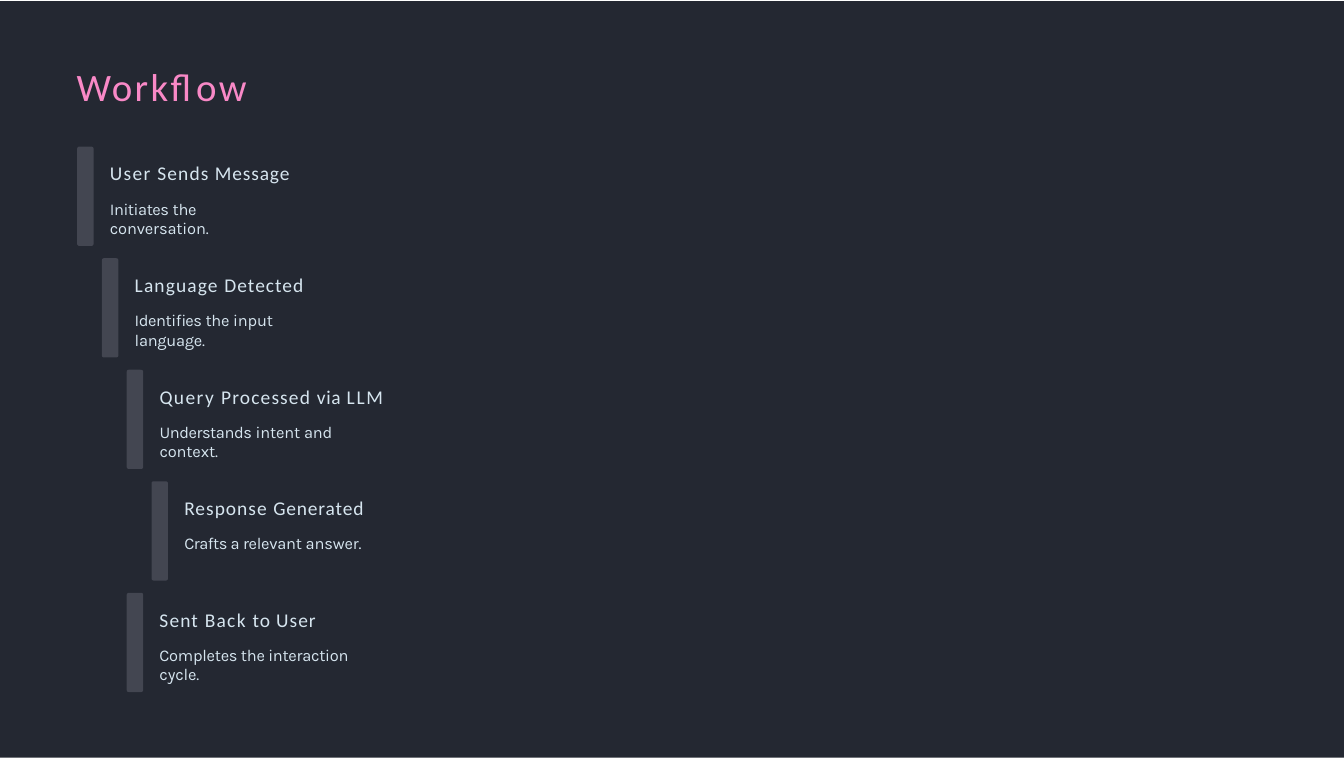
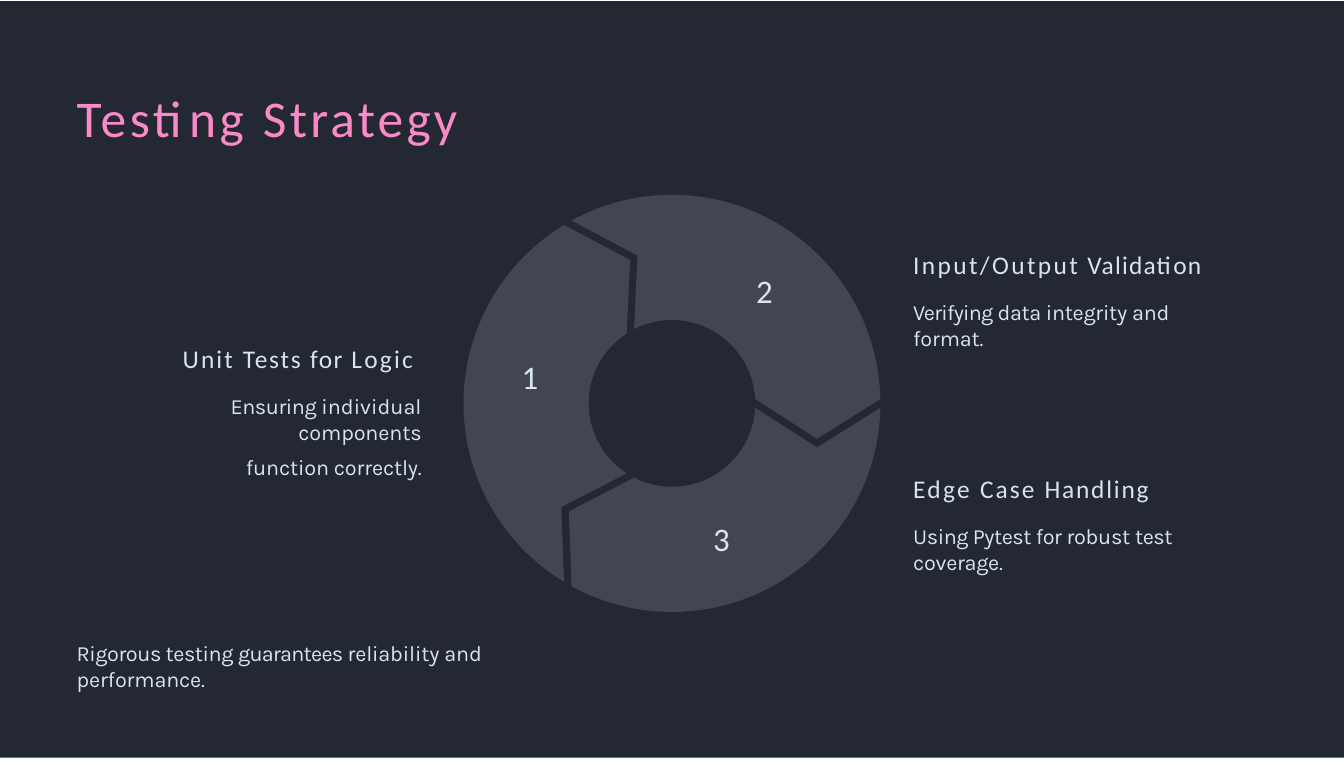
"""Build the workflow and testing strategy slides."""
from math import cos, radians, sin

from pptx import Presentation
from pptx.dml.color import RGBColor
from pptx.enum.shapes import MSO_SHAPE as SHAPE
from pptx.enum.text import MSO_ANCHOR as ANCHOR, MSO_AUTO_SIZE as AUTO, PP_ALIGN as ALIGN
from pptx.util import Pt

COLORS = {"panel": "242832", "accent": "434651", "title": "F989C7", "text": "D6E5EF"}
STYLES = {
    "workflow title": ("Calibri", 26, "title", 0.9),
    "testing title": ("Calibri", 34.5, "title", 1.1),
    "step": ("Calibri", 13, "text", 1),
    "step detail": ("Karla", 11, "text", 9.2),
    "topic": ("Calibri", 17, "text", 1.3),
    "topic detail": ("Karla", 14.5, "text", 12.8),
    "topic continued": ("Karla", 14.5, "text", 5.8),
    "summary": ("Karla", 14.5, "text", 1.2),
    "number": ("Calibri", 22, "text", 1),
}


def place_text(sp, left, top, width, height):
    """Position a text shape and return its prepared frame."""
    sp.left, sp.top, sp.width, sp.height = Pt(left), Pt(top), Pt(width), Pt(height)
    tf = sp.text_frame
    tf.word_wrap = True
    tf.auto_size = AUTO.SHAPE_TO_FIT_TEXT
    tf.vertical_anchor = ANCHOR.TOP
    tf.margin_left = tf.margin_top = Pt(0.9)
    tf.margin_right = tf.margin_bottom = 0
    return tf


def add_runs(tf, style, runs, align=ALIGN.LEFT, indent=0):
    """Add a paragraph made of (text, letter spacing) runs."""
    font, size, color, before = STYLES[style]
    p = tf.add_paragraph() if tf.paragraphs[0].runs else tf.paragraphs[0]
    p.alignment = align
    p.space_before = Pt(before)
    if indent:
        p._p.get_or_add_pPr().set("marL", str(Pt(indent)))
    for text, spacing in runs:
        r = p.add_run()
        r.text = text
        r.font.name = font
        r.font.size = Pt(size)
        r.font.color.rgb = RGBColor.from_string(COLORS[color])
        r.font._element.set("spc", str(round(spacing * 100)))


prs = Presentation()
prs.slide_width, prs.slide_height = Pt(900), Pt(512)
layout = prs.slide_layouts[5]
workflow = prs.slides.add_slide(layout)
testing = prs.slides.add_slide(layout)

panel = workflow.shapes.add_shape(SHAPE.RECTANGLE, 0, Pt(0.7), Pt(900), Pt(506.3))
panel.shadow.inherit = False
panel.fill.solid()
panel.fill.fore_color.rgb = RGBColor.from_string(COLORS["panel"])
panel.line.fill.background()
layout.shapes.element.insert(2, panel.element)

titles = [
    (workflow, "workflow title", (50.4, 41, 272, 42), [("Workflow", 1.6)]),
    (testing, "testing title", (50.4, 56.5, 266, 44), [("Testing ", 2.4), ("Strategy", 2.2)]),
]
for s, style, box, runs in titles:
    add_runs(place_text(s.shapes.title, *box), style, runs)

steps = [
    (0, 125,
     [("User ", 0.9), ("Sends", 0.8), (" Message", 0.6)],
     [("Initiates ", -0.3), ("the ", -0.2), ("conversation.", -0.1)]),
    (1, 137,
     [("Language ", 0.8), ("Detected", 0.7)],
     [("Identifies ", -0.3), ("the ", -0.2), ("input ", -0.1), ("language.", -0.2)]),
    (2, 156,
     [("Query ", 1), ("Processed ", 0.8), ("via ", 0.5), ("LLM", 1.2)],
     [("Understands ", -0.3), ("intent ", -0.1), ("and ", -0.2), ("context.", -0.1)]),
    (3, 127,
     [("Response ", 0.7), ("Generated", 0.6)],
     [("Crafts a ", -0.3), ("relevant ", -0.2), ("answer.", -0.1)]),
    (2, 150,
     [("Sent ", 0.8), ("Back ", 0.9), ("to ", 0.6), ("User", 0.7)],
     [("Completes the interaction ", -0.2), ("cycle.", -0.1)]),
]
for i, (level, width, heading, detail) in enumerate(steps):
    left, top = 51.7 + 16.6 * level, 98.2 + 74.65 * i
    bar = workflow.shapes.add_shape(SHAPE.ROUNDED_RECTANGLE, Pt(left), Pt(top), Pt(11), Pt(66.4))
    bar.adjustments[0] = 0.12
    bar.shadow.inherit = False
    bar.fill.solid()
    bar.fill.fore_color.rgb = RGBColor.from_string(COLORS["accent"])
    bar.line.fill.background()
    sp = workflow.shapes.add_textbox(0, 0, 0, 0)
    tf = place_text(sp, left + 21, top + 9, width, 40)
    add_runs(tf, "step", heading)
    add_runs(tf, "step detail", detail)

CENTER_X, CENTER_Y = 450, 270
OUTER, INNER = 139.6, 55.8
numbers = [("1", 120, 348.5, 237.6), ("2", 240, 505.4, 180), ("3", 0, 476.6, 346.3)]
for number, start, left, top in numbers:
    end = start + 120
    polar = [(OUTER, start + 1.2 + 117.6 * k / 60) for k in range(61)]
    polar.append((100, end + 13.7))
    polar += [(INNER, end - 3 - 114 * k / 60) for k in range(61)]
    polar.append((101.5, start + 16.9))
    points = [(Pt(CENTER_X + radius * cos(radians(angle))),
               Pt(CENTER_Y + radius * sin(radians(angle)))) for radius, angle in polar]
    builder = testing.shapes.build_freeform(*points[0])
    builder.add_line_segments(points[1:], close=True)
    segment = builder.convert_to_shape()
    segment.shadow.inherit = False
    segment.fill.solid()
    segment.fill.fore_color.rgb = RGBColor.from_string(COLORS["accent"])
    segment.line.fill.background()
    sp = testing.shapes.add_textbox(0, 0, 0, 0)
    add_runs(place_text(sp, left, top, 14, 29), "number", [(number, 0)])

topics = [
    ((50.4, 427, 346, 20), [
        ("summary", [("Rigorous testing ", -0.3), ("guarantees ", -0.5),
                     ("reliability and performance.", -0.1)], ALIGN.LEFT, 0)]),
    ((81.4, 229, 200.9, 76), [
        ("topic", [("Unit ", 1.4), ("Tests ", 1.2), ("for ", 1), ("Logic", 1.5)], ALIGN.LEFT, 40),
        ("topic detail", [("Ensuring ", -0.3), ("individual ", 0), ("components", -0.1)],
         ALIGN.RIGHT, 0),
        ("topic continued", [("function correctly.", -0.1)], ALIGN.RIGHT, 0)]),
    ((610.6, 165.6, 215, 53), [
        ("topic", [("Input/Output", 1.6), (" Validation", 0.8)], ALIGN.LEFT, 0),
        ("topic detail", [("Verifying ", -0.5), ("data ", -0.3), ("integrity ", -0.2),
                          ("and format.", -0.1)], ALIGN.LEFT, 0)]),
    ((610.6, 316, 228, 53), [
        ("topic", [("Edge ", 1.5), ("Case ", 1.4), ("Handling", 1.2)], ALIGN.LEFT, 0),
        ("topic detail", [("Using Pytest for ", -0.3), ("robust ", -0.2), ("test ", -0.3),
                          ("coverage.", -0.2)], ALIGN.LEFT, 0)]),
]
for box, paragraphs in topics:
    tf = place_text(testing.shapes.add_textbox(0, 0, 0, 0), *box)
    for style, runs, align, indent in paragraphs:
        add_runs(tf, style, runs, align, indent)

prs.save("out.pptx")
